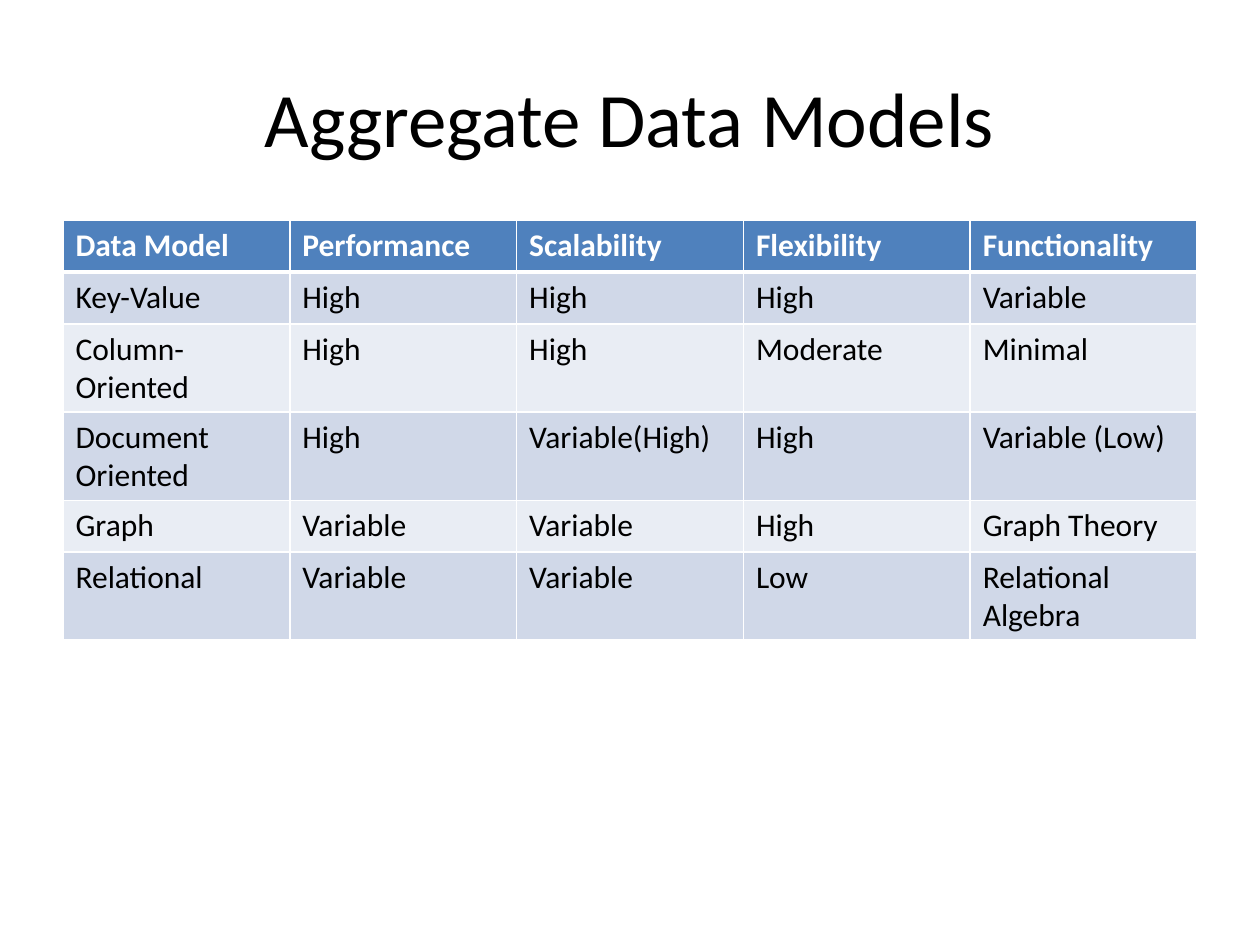
from lxml import etree
from pptx import Presentation
from pptx import util as u
from pptx.dml import color
from pptx.enum import text
from pptx.oxml import ns

WIDTH, HEIGHT = u.Inches(10), u.Inches(7.5)
MARGIN = 0.05
FONT = "Calibri"
COLORS = {
    "ink": "000000",
    "paper": "FFFFFF",
    "header": "4F81BD",
    "band_dark": "D0D8E8",
    "band_light": "E9EDF4",
}
MODELS = [
    ["Data Model", "Performance", "Scalability", "Flexibility", "Functionality"],
    ["Key-Value", "High", "High", "High", "Variable"],
    ["Column- Oriented", "High", "High", "Moderate", "Minimal"],
    ["Document Oriented", "High", "Variable(High)", "High", "Variable (Low)"],
    ["Graph", "Variable", "Variable", "High", "Graph Theory"],
    ["Relational", "Variable", "Variable", "Low", "Relational Algebra"],
]


def rgb(name):
    return color.RGBColor.from_string(COLORS[name])


def across(share):
    return u.Emu(round(WIDTH * share))


def down(share):
    return u.Emu(round(HEIGHT * share))


def style_font(para, size, ink, bold=False):
    para.font.name = FONT
    para.font.size = u.Pt(size)
    para.font.bold = bold
    para.font.color.rgb = rgb(ink)


def add_title(page, wording):
    box = page.shapes.add_textbox(
        across(MARGIN), down(0.04), across(1 - 2 * MARGIN), down(1 / 6))
    frame = box.text_frame
    frame.word_wrap = True
    frame.vertical_anchor = text.MSO_ANCHOR.MIDDLE
    para = frame.paragraphs[0]
    para.text = wording
    para.alignment = text.PP_ALIGN.CENTER
    style_font(para, 44, "ink")


def add_border(cell, side, points):
    properties = cell._tc.get_or_add_tcPr()
    line = etree.SubElement(
        properties, ns.qn("a:ln" + side), w=str(u.Pt(points)))
    fill = etree.SubElement(line, ns.qn("a:solidFill"))
    etree.SubElement(fill, ns.qn("a:srgbClr"), val=COLORS["paper"])


def style_cell(cell, row):
    heavy_side = {0: "B", 1: "T"}.get(row)
    for side in "LRTB":
        add_border(cell, side, 3 if side == heavy_side else 1)
    band = "header" if row == 0 else ("band_light", "band_dark")[row % 2]
    cell.fill.solid()
    cell.fill.fore_color.rgb = rgb(band)
    style_font(cell.text_frame.paragraphs[0], 18,
               "ink" if row else "paper", bold=row == 0)


def add_grid(page, rows):
    row_height = u.Inches(0.41)
    table = page.shapes.add_table(
        len(rows), len(rows[0]), across(MARGIN), u.Inches(1.75),
        across(1 - 2 * MARGIN), row_height * len(rows)).table
    for row, words in enumerate(rows):
        table.rows[row].height = row_height
        for column, word in enumerate(words):
            cell = table.cell(row, column)
            cell.text = word
            style_cell(cell, row)


def main():
    deck = Presentation()
    deck.slide_width, deck.slide_height = WIDTH, HEIGHT
    page = deck.slides.add_slide(deck.slide_layouts[6])
    add_title(page, "Aggregate Data Models")
    add_grid(page, MODELS)
    deck.save("out.pptx")


main()
